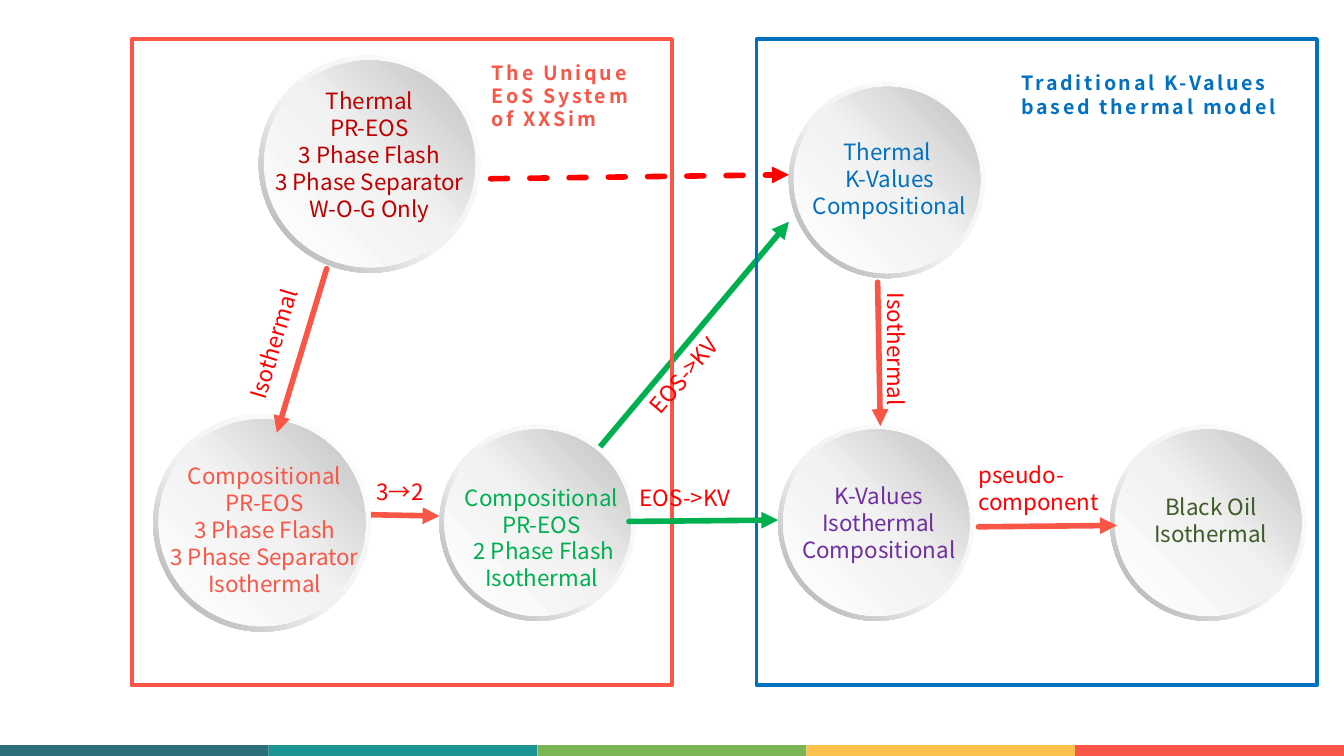
from dataclasses import dataclass
from lxml import etree
from pptx import Presentation
from pptx import util as u
from pptx.dml.color import RGBColor
from pptx.enum import dml, shapes, text
from pptx.oxml.ns import qn


@dataclass(frozen=True)
class Theme:
    font: str = "Noto Sans CJK SC"
    body: float = 12
    heading: float = 10.5
    coral: str = "F95647"
    blue: str = "0070C0"
    green: str = "00B050"
    red: str = "FF0000"
    dark_red: str = "BF0000"
    purple: str = "7030A0"
    olive: str = "3E5C28"
    strip: tuple = ("2B6F7D", "1C9494", "7CB554", "FAC14D", "F95647")
    ring: tuple = ((0, "FFFFFF"), (55, "F2F2F2"), (100, "A6A6A6"))
    disc: tuple = ((0, "FFFFFF"), (51, "F2F2F2"), (100, "BFBFBF"))


T = Theme()
W = 10
H = W * 9 / 16
TOP_Y, LOW_Y = 1.34, 3.89
SMALL, LARGE = 1.46, 1.62
RIM_SHARE = 0.05
LINE_H, LABEL_W, STRIP_H = 0.2, 1.8, 0.08

FRAMES = [
    ((0.98, 0.29, 4.02, 4.81), T.coral, "The Unique EoS System of XXSim", (3.66, 0.45, 1.09, 0.53)),
    ((5.63, 0.29, 4.17, 4.81), T.blue, "Traditional K-Values based thermal model", (7.6, 0.53, 2.09, 0.35)),
]
# centre, width, height, label offset, colour, lines
MODELS = [
    ((2.75, 1.22), 1.65, LARGE, (0, -0.07), T.dark_red,
     ["Thermal", "PR-EOS", "3 Phase Flash", "3 Phase Separator", "W-O-G Only"]),
    ((1.95, LOW_Y), LARGE, LARGE, (0.02, 0.05), T.coral,
     ["Compositional", "PR-EOS", "3 Phase Flash", "3 Phase Separator", "Isothermal"]),
    ((4, LOW_Y), SMALL, SMALL, (0.03, 0.11), T.green,
     ["Compositional", "PR-EOS", " 2 Phase Flash", "Isothermal"]),
    ((6.6, TOP_Y), SMALL, SMALL, (0.02, -0.01), T.blue,
     ["Thermal ", "K-Values", "Compositional"]),
    ((6.52, LOW_Y), SMALL, SMALL, (0.02, 0), T.purple,
     ["K-Values", "Isothermal", "Compositional"]),
    ((8.99, LOW_Y), SMALL, SMALL, (0.02, -0.02), T.olive,
     ["Black Oil", "Isothermal"]),
]
CROSSING_ARROWS = [
    ((3.65, 1.33), (5.87, 1.3), T.red, "dash"),
    ((4.46, 3.33), (5.87, 1.65), T.green, "flat"),
]
ARROWS = [
    ((2.43, 2), (2.06, 3.22), T.coral, "round"),
    ((2.76, 3.83), (3.27, 3.84), T.coral, "flat"),
    ((4.68, 3.88), (5.79, 3.87), T.green, "round"),
    ((6.53, 2.1), (6.55, 3.17), T.coral, "round"),
    ((7.28, 3.92), (8.31, 3.91), T.coral, "round"),
]
STEPS = [
    ("Isothermal", (1.59, 2.43, 0.9, 0.2), 286.7),
    ("3→2", (2.8, 3.56, 0.55, 0.2), 0),
    ("EOS->KV", (4.69, 2.55, 1.04, 0.22), 310.3),
    ("EOS->KV", (4.76, 3.6, 0.87, 0.2), 0),
    ("Isothermal", (6.2, 2.55, 0.94, 0.2), 90),
    ("pseudo-component", (7.28, 3.43, 1.02, 0.4), 0),
]


def inches(box):
    return [u.Inches(v) for v in box]


def add_shape(kind, box):
    sp = s.shapes.add_shape(kind, *inches(box))
    sp.shadow.inherit = False
    sp.line.fill.background()
    return sp


def add_text(lines, box, color, size=T.body, align=text.PP_ALIGN.LEFT, bold=False, spacing=0):
    sp = s.shapes.add_textbox(*inches(box))
    tf = sp.text_frame
    tf.word_wrap = True
    tf.margin_left = tf.margin_right = tf.margin_top = tf.margin_bottom = 0
    tf.text = "\n".join(lines)
    for p in tf.paragraphs:
        p.alignment = align
        for r in p.runs:
            r.font.name, r.font.size, r.font.bold = T.font, u.Pt(size), bold
            r.font.color.rgb = RGBColor.from_string(color)
            rpr = r.font._element
            etree.SubElement(rpr, qn("a:ea"), typeface=T.font)
            if spacing:
                rpr.set("spc", str(int(spacing * 100)))
    return sp


def set_gradient(sp, stops, angle):
    sp.fill.gradient()
    sp.fill.gradient_angle = angle
    gs_list = sp._element.spPr.find(qn("a:gradFill")).find(qn("a:gsLst"))
    for gs in list(gs_list):
        gs_list.remove(gs)
    for pos, color in stops:
        gs = etree.SubElement(gs_list, qn("a:gs"), pos=str(pos * 1000))
        etree.SubElement(gs, qn("a:srgbClr"), val=color)


def add_arrow(start, end, color, style):
    c = s.shapes.add_connector(shapes.MSO_CONNECTOR.STRAIGHT, *inches(start + end))
    c.line.width = u.Pt(3)
    c.line.color.rgb = RGBColor.from_string(color)
    if style == "dash":
        c.line.dash_style = dml.MSO_LINE.DASH
    ln = c.line._get_or_add_ln()
    if style != "flat":
        ln.set("cap", "rnd")
    etree.SubElement(ln, qn("a:tailEnd"), type="triangle")
    etree.SubElement(c._element.spPr, qn("a:effectLst"))


def add_model(center, w, h, offset, color, lines):
    x, y = center[0] - w / 2, center[1] - h / 2
    ring = add_shape(shapes.MSO_SHAPE.DONUT, (x, y, w, h))
    ring.adjustments[0] = RIM_SHARE
    set_gradient(ring, T.ring, 225)
    rim = min(w, h) * RIM_SHARE / 2
    disc = add_shape(shapes.MSO_SHAPE.OVAL, (x + rim, y + rim, w - 2 * rim, h - 2 * rim))
    set_gradient(disc, T.disc, 45)
    label_h = LINE_H * len(lines)
    box = (center[0] + offset[0] - LABEL_W / 2, center[1] + offset[1] - label_h / 2, LABEL_W, label_h)
    label = add_text(lines, box, color, align=text.PP_ALIGN.CENTER)
    label.text_frame.vertical_anchor = text.MSO_ANCHOR.MIDDLE


prs = Presentation()
prs.slide_width, prs.slide_height = inches((W, H))
s = prs.slides.add_slide(prs.slide_layouts[6])

band = W / len(T.strip)
for i, color in enumerate(T.strip):
    sp = add_shape(shapes.MSO_SHAPE.RECTANGLE, (i * band, H - STRIP_H, band, STRIP_H))
    sp.fill.solid()
    sp.fill.fore_color.rgb = RGBColor.from_string(color)

for arrow in CROSSING_ARROWS:
    add_arrow(*arrow)
for box, color, heading, heading_box in FRAMES:
    sp = add_shape(shapes.MSO_SHAPE.RECTANGLE, box)
    sp.fill.background()
    sp.line.color.rgb = RGBColor.from_string(color)
    sp.line.width = u.Pt(2)
    add_text([heading], heading_box, color, T.heading, bold=True, spacing=1.5)
for model in MODELS:
    add_model(*model)
for arrow in ARROWS:
    add_arrow(*arrow)
for step, box, angle in STEPS:
    add_text([step], box, T.red).rotation = angle

prs.save("out.pptx")
